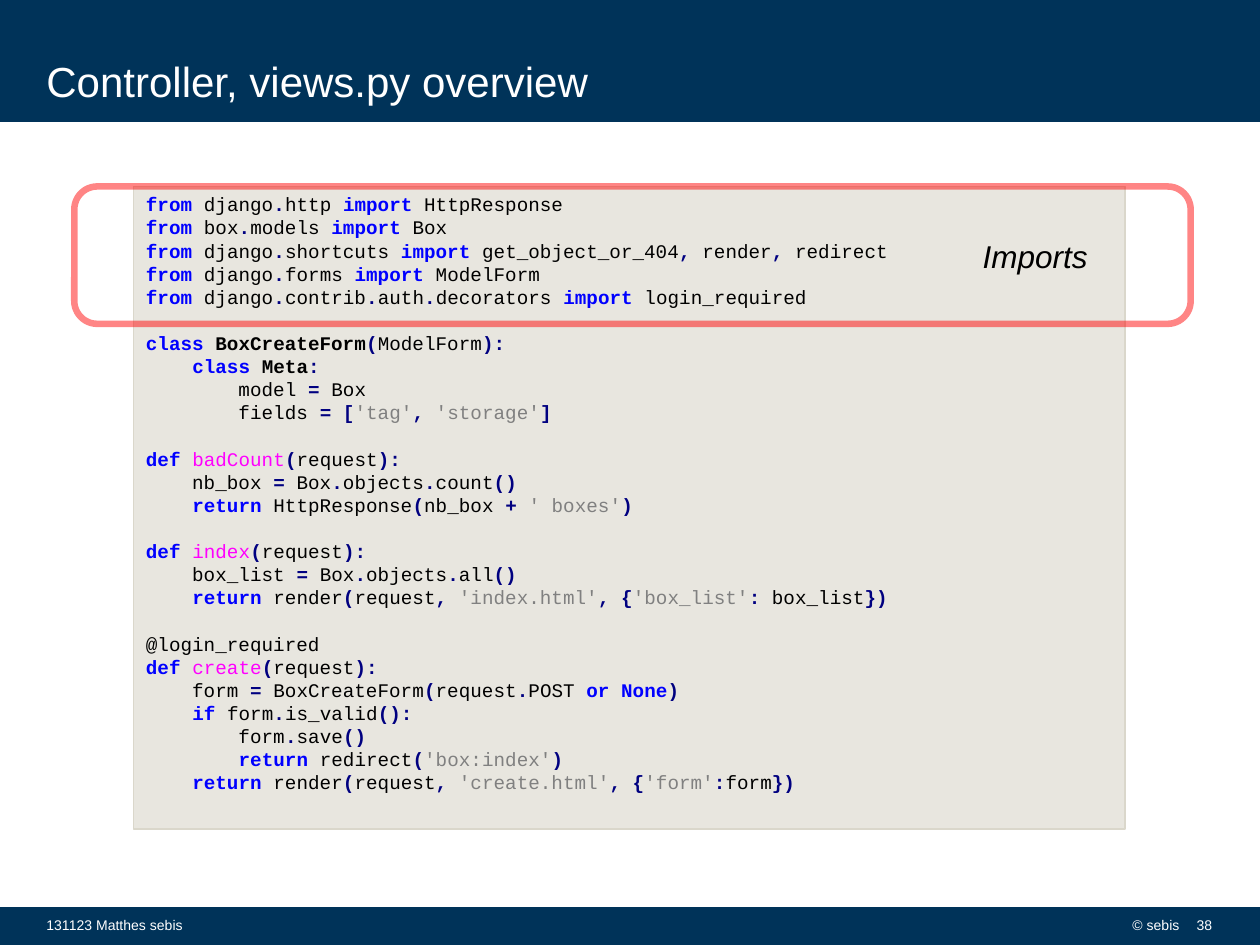
from itertools import groupby

from lxml.etree import SubElement
from pptx import Presentation
from pptx.dml.color import RGBColor
from pptx.enum.shapes import MSO_SHAPE as Shape
from pptx.enum.text import MSO_ANCHOR as Anchor, PP_ALIGN as Align
from pptx.oxml.ns import qn
from pptx.util import Inches, Pt

NAVY = "003359"
WHITE = "FFFFFF"
LINE_HEIGHT = 13.2
KEYWORDS = {"from", "import", "class", "def", "return", "if", "or", "None"}
TOKEN_STYLES = {
    "keyword": ("0000FF", True),
    "class": ("000000", True),
    "def": ("FF00FF", False),
    "plain": ("000000", False),
    "string": ("808080", False),
    "symbol": ("000080", True),
}
CODE = """\
from django.http import HttpResponse
from box.models import Box
from django.shortcuts import get_object_or_404, render, redirect
from django.forms import ModelForm
from django.contrib.auth.decorators import login_required

class BoxCreateForm(ModelForm):
    class Meta:
        model = Box
        fields = ['tag', 'storage']

def badCount(request):
    nb_box = Box.objects.count()
    return HttpResponse(nb_box + ' boxes')

def index(request):
    box_list = Box.objects.all()
    return render(request, 'index.html', {'box_list': box_list})

@login_required
def create(request):
    form = BoxCreateForm(request.POST or None)
    if form.is_valid():
        form.save()
        return redirect('box:index')
    return render(request, 'create.html', {'form':form})"""


def color(value):
    return RGBColor.from_string(value)


def character_kind(character):
    if character == " ":
        return "space"
    return "word" if character.isalnum() or character in "_@" else "symbol"


def tokenize(line):
    style, previous_word = "plain", ""
    for index, part in enumerate(line.split("'")):
        if index % 2:
            style = "string"
            yield f"'{part}'", style
            continue
        for kind, characters in groupby(part, character_kind):
            text = "".join(characters)
            if kind == "symbol":
                style = "symbol"
            elif kind == "word":
                if text in KEYWORDS:
                    style = "keyword"
                elif previous_word in ("class", "def"):
                    style = previous_word
                else:
                    style = "plain"
                previous_word = text
            yield text, style


class SlideBuilder:
    def __init__(self, slide, font="Arial", code_font="Courier New"):
        self.slide = slide
        self.font = font
        self.code_font = code_font

    def box(self, kind, left, top, width, height, fill, line, line_width):
        shape = self.slide.shapes.add_shape(
            kind, Inches(left), Inches(top), Inches(width), Inches(height))
        shape.shadow.inherit = False
        if fill:
            shape.fill.solid()
            shape.fill.fore_color.rgb = color(fill)
        else:
            shape.fill.background()
        shape.line.color.rgb = color(line)
        shape.line.width = Pt(line_width)
        return shape

    def band(self, top, height):
        self.box(Shape.RECTANGLE, 0, top, 10, height, NAVY, NAVY, 1.35)

    def highlight(self, left, top, width, height):
        shape = self.box(Shape.ROUNDED_RECTANGLE, left, top, width, height,
                         None, "FF0000", 3.75)
        fill_color = shape.line._get_or_add_ln().find(".//" + qn("a:srgbClr"))
        SubElement(fill_color, qn("a:alpha")).set("val", "48000")

    def style_run(self, run, name, size, value, bold=False, italic=False):
        run.font.name = name
        run.font.size = Pt(size)
        run.font.color.rgb = color(value)
        run.font.bold = bold
        run.font.italic = italic

    def text(self, words, left, top, width, height, size=8, value=WHITE,
             align=Align.LEFT, anchor=Anchor.MIDDLE, wrap=True,
             margin=0.05, italic=False):
        text_box = self.slide.shapes.add_textbox(
            Inches(left), Inches(top), Inches(width), Inches(height))
        frame = text_box.text_frame
        frame.text = words
        frame.word_wrap = wrap
        frame.vertical_anchor = anchor
        frame.margin_top = frame.margin_bottom = Inches(margin)
        paragraph = frame.paragraphs[0]
        paragraph.alignment = align
        self.style_run(paragraph.runs[0], self.font, size, value, italic=italic)

    def code(self, source, left, top, width, height):
        shape = self.box(Shape.RECTANGLE, left, top, width, height,
                         "E8E6DF", "DAD7CB", 0.75)
        frame = shape.text_frame
        frame.word_wrap = True
        frame.vertical_anchor = Anchor.TOP
        frame.margin_top = Inches(0.05)
        paragraph = frame.paragraphs[0]
        for block_index, block in enumerate(source.split("\n\n")):
            for line_index, line in enumerate(block.split("\n")):
                if block_index or line_index:
                    paragraph = frame.add_paragraph()
                if block_index and not line_index:
                    paragraph.space_before = Pt(LINE_HEIGHT)
                self.code_line(paragraph, line)

    def code_line(self, paragraph, line):
        paragraph.alignment = Align.LEFT
        paragraph.line_spacing = Pt(LINE_HEIGHT)
        for style, tokens in groupby(tokenize(line), lambda token: token[1]):
            run = paragraph.add_run()
            run.text = "".join(text for text, _ in tokens)
            self.style_run(run, self.code_font, 11, *TOKEN_STYLES[style])


def main():
    presentation = Presentation()
    presentation.slide_width = Inches(10)
    presentation.slide_height = Inches(7.5)
    slide = presentation.slides.add_slide(presentation.slide_layouts[6])
    builder = SlideBuilder(slide)

    builder.band(7.21, 0.29)
    builder.band(0.01, 0.95)
    builder.text("Controller, views.py overview", 0.27, 0.05, 8.24, 0.79,
                 size=24, anchor=Anchor.BOTTOM, margin=0)
    builder.text("© sebis", 7.7, 7.18, 1.76, 0.32, align=Align.RIGHT)
    builder.text("131123 Matthes sebis", 0.27, 7.18, 4.73, 0.32)
    builder.text("38", 9.32, 7.18, 0.4, 0.32, align=Align.RIGHT)
    builder.code(CODE, 1.06, 1.48, 7.87, 5.1)
    builder.highlight(0.59, 1.48, 8.86, 1.09)
    builder.text("Imports", 7.7, 1.83, 1.04, 0.4, size=18, value="000000",
                 anchor=Anchor.TOP, wrap=False, italic=True)

    presentation.save("out.pptx")


if __name__ == "__main__":
    main()
